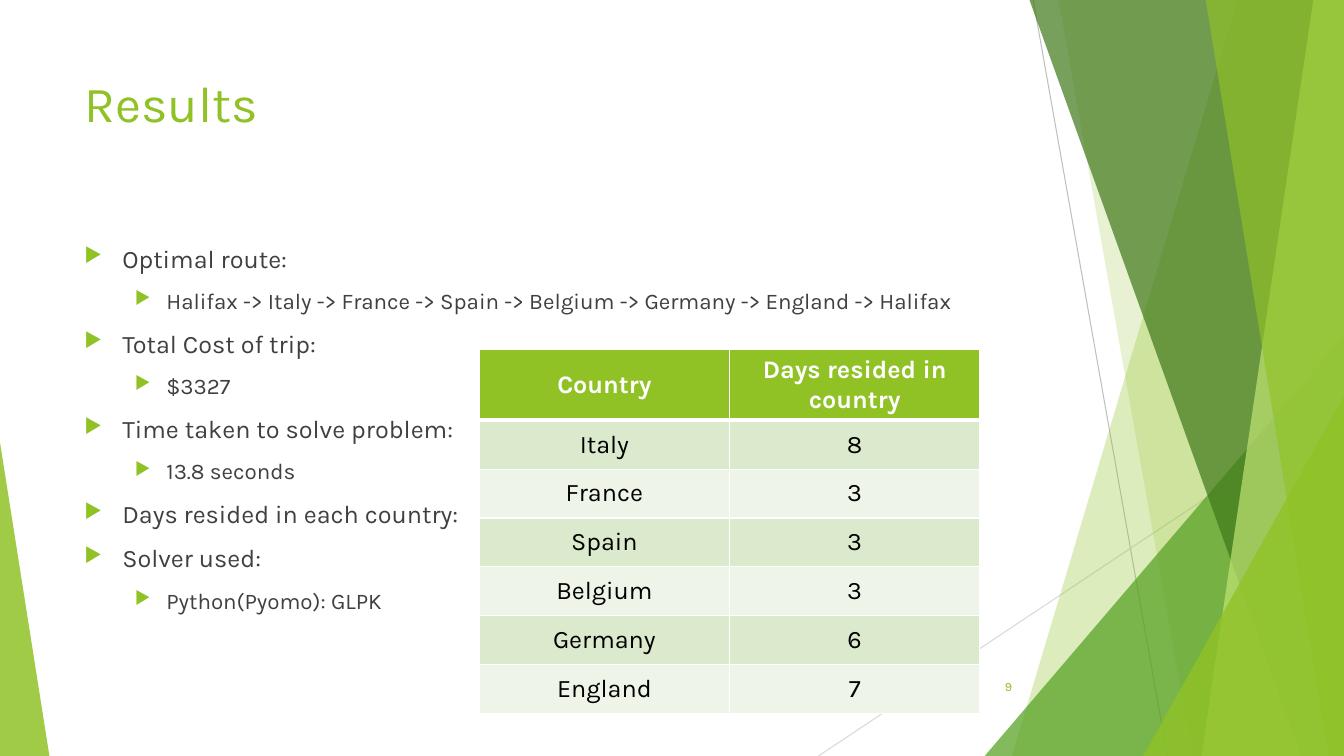
from lxml.etree import SubElement
from pptx import Presentation
from pptx.dml.color import RGBColor
from pptx.enum.shapes import MSO_CONNECTOR, MSO_SHAPE
from pptx.enum.text import MSO_ANCHOR, MSO_AUTO_SIZE, PP_ALIGN
from pptx.oxml.ns import qn
from pptx.util import Pt

FONT = "Karla"
COLORS = {
    "lime": "90C226", "pale_lime": "C0E474", "green": "54A021",
    "dark_green": "3F7819", "text": "404040", "white": "FFFFFF",
    "black": "000000", "band_dark": "DBE9CD", "band_light": "EEF4E8",
    "gray": "BFBFBF", "light_gray": "D9D9D9",
}
WIDTH, HEIGHT = 960, 540
RAYS = [((738, 0), (833.8, 540), "gray"), ((960, 290.2), (584.6, 540), "light_gray")]
BACK_FACETS = [(884.2, 722.9, "lime", 30), (756, 851.8, "lime", 20)]
FRONT_FACETS = [(735.1, 929.5, "dark_green", 70), (938.2, 858.2, "pale_lime", 70),
                (861.1, 949, "lime", 65)]
BULLETS = [
    (0, "Optimal route:"),
    (1, "Halifax -> Italy -> France -> Spain -> Belgium -> Germany -> England -> Halifax"),
    (0, "Total Cost of trip:"),
    (1, "$3327"),
    (0, "Time taken to solve problem:"),
    (1, "13.8 seconds"),
    (0, "Days resided in each country:"),
    (0, "Solver used:"),
    (1, "Python(Pyomo): GLPK"),
]
LEVELS = [(18, 27, -27), (16, 58.5, -22.5)]
DAYS = [("Country", "Days resided in country"), ("Italy", "8"), ("France", "3"),
        ("Spain", "3"), ("Belgium", "3"), ("Germany", "6"), ("England", "7")]


def rgb(color):
    return RGBColor.from_string(COLORS[color])


def set_font(paragraph, size, color, bold=False):
    font = paragraph.font
    font.name, font.size, font.bold = FONT, Pt(size), bold
    font.color.rgb = rgb(color)


def paint(shape, color, opacity):
    shape.shadow.inherit = False
    shape.fill.solid()
    shape.fill.fore_color.rgb = rgb(color)
    shape.line.fill.background()
    fill_color = shape.fill._xPr.find(qn("a:solidFill"))[0]
    SubElement(fill_color, qn("a:alpha"), val=str(opacity * 1000))


def add_ray(slide, start, end, color):
    ray = slide.shapes.add_connector(
        MSO_CONNECTOR.STRAIGHT, *(Pt(value) for value in start + end))
    ray.line.color.rgb = rgb(color)
    ray.line.width = Pt(0.75)
    SubElement(ray._element.spPr, qn("a:effectLst"))


def add_facet(slide, right, bottom, top_x, bottom_x, color, opacity):
    builder = slide.shapes.build_freeform(Pt(top_x), Pt(-0.7))
    corners = [(right, -0.7), (right, bottom), (bottom_x, bottom)]
    builder.add_line_segments([(Pt(x), Pt(y)) for x, y in corners], close=True)
    paint(builder.convert_to_shape(), color, opacity)


def add_triangle(slide, left, bottom, width, height, apex, color, opacity):
    triangle = slide.shapes.add_shape(
        MSO_SHAPE.ISOSCELES_TRIANGLE, Pt(left), Pt(bottom - height), Pt(width), Pt(height))
    triangle.adjustments[0] = apex
    paint(triangle, color, opacity)


def add_backdrop(slide, width, height):
    for ray in RAYS:
        add_ray(slide, *ray)
    for facet in BACK_FACETS:
        add_facet(slide, width, height, *facet)
    add_triangle(slide, width - 256.6, height, 256.6, 300.2, 1, "green", 72)
    for facet in FRONT_FACETS:
        add_facet(slide, width, height, *facet)
    add_triangle(slide, width - 143.4, height, 143.4, 257, 1, "lime", 80)
    add_triangle(slide, 0, height, 35.3, 224, 0, "lime", 85)


def add_title(slide, left, top, width, height):
    title = slide.shapes.title
    title.left, title.top, title.width, title.height = map(Pt, (left, top, width, height))
    frame = title.text_frame
    frame.text = "Results"
    frame.auto_size = MSO_AUTO_SIZE.NONE
    frame.vertical_anchor = MSO_ANCHOR.TOP
    frame.paragraphs[0].alignment = PP_ALIGN.LEFT
    set_font(frame.paragraphs[0], 36, "lime")


def add_bullet(paragraph, margin, indent):
    properties = paragraph._p.get_or_add_pPr()
    properties.set("marL", str(Pt(margin)))
    properties.set("indent", str(Pt(indent)))
    bullet_color = SubElement(properties, qn("a:buClr"))
    SubElement(bullet_color, qn("a:srgbClr"), val=COLORS["lime"])
    SubElement(properties, qn("a:buSzPct"), val="80000")
    SubElement(properties, qn("a:buChar"), char="▶")


def add_findings(slide, left, top, width, height):
    frame = slide.shapes.add_textbox(*map(Pt, (left, top, width, height))).text_frame
    frame.word_wrap = True
    for index, (level, text) in enumerate(BULLETS):
        paragraph = frame.add_paragraph() if index else frame.paragraphs[0]
        paragraph.text = text
        paragraph.level = level
        size, margin, indent = LEVELS[level]
        add_bullet(paragraph, margin, indent)
        paragraph.space_before = Pt(10)
        set_font(paragraph, size, "text")


def add_borders(cell, top, bottom):
    properties = cell._tc.get_or_add_tcPr()
    for side, weight in (("L", 1), ("R", 1), ("T", top), ("B", bottom)):
        border = SubElement(properties, qn(f"a:ln{side}"), w=str(Pt(weight)))
        fill = SubElement(border, qn("a:solidFill"))
        SubElement(fill, qn("a:srgbClr"), val=COLORS["white"])


def add_days_table(slide, left, top, width, height):
    header_height = 49
    row_height = (height - header_height) / (len(DAYS) - 1)
    table = slide.shapes.add_table(
        len(DAYS), 2, *map(Pt, (left, top, width, height))).table
    table.horz_banding = False
    for row, values in enumerate(DAYS):
        header = row == 0
        table.rows[row].height = Pt(row_height if row else header_height)
        band = "lime" if header else ("band_light", "band_dark")[row % 2]
        for column, value in enumerate(values):
            cell = table.cell(row, column)
            add_borders(cell, 3 if row == 1 else 1, 3 if header else 1)
            cell.fill.solid()
            cell.fill.fore_color.rgb = rgb(band)
            cell.vertical_anchor = MSO_ANCHOR.MIDDLE
            cell.text = value
            paragraph = cell.text_frame.paragraphs[0]
            paragraph.alignment = PP_ALIGN.CENTER
            set_font(paragraph, 18, "white" if header else "black", header)


def add_page_number(slide, left, top, width, height):
    frame = slide.shapes.add_textbox(*map(Pt, (left, top, width, height))).text_frame
    frame.word_wrap = True
    frame.vertical_anchor = MSO_ANCHOR.MIDDLE
    paragraph = frame.paragraphs[0]
    paragraph.text = "9"
    paragraph.alignment = PP_ALIGN.RIGHT
    set_font(paragraph, 9, "lime")


def main():
    presentation = Presentation()
    presentation.slide_width, presentation.slide_height = Pt(WIDTH), Pt(HEIGHT)
    slide = presentation.slides.add_slide(presentation.slide_layouts[5])
    add_backdrop(slide, WIDTH, HEIGHT)
    add_title(slide, 53.3, 48, 676.8, 104)
    add_findings(slide, 53.3, 170, 676.8, 305.3)
    add_days_table(slide, 342.3, 249.8, 357.6, 258.5)
    add_page_number(slide, 676, 476, 54, 28.8)
    presentation.save("out.pptx")


if __name__ == "__main__":
    main()
